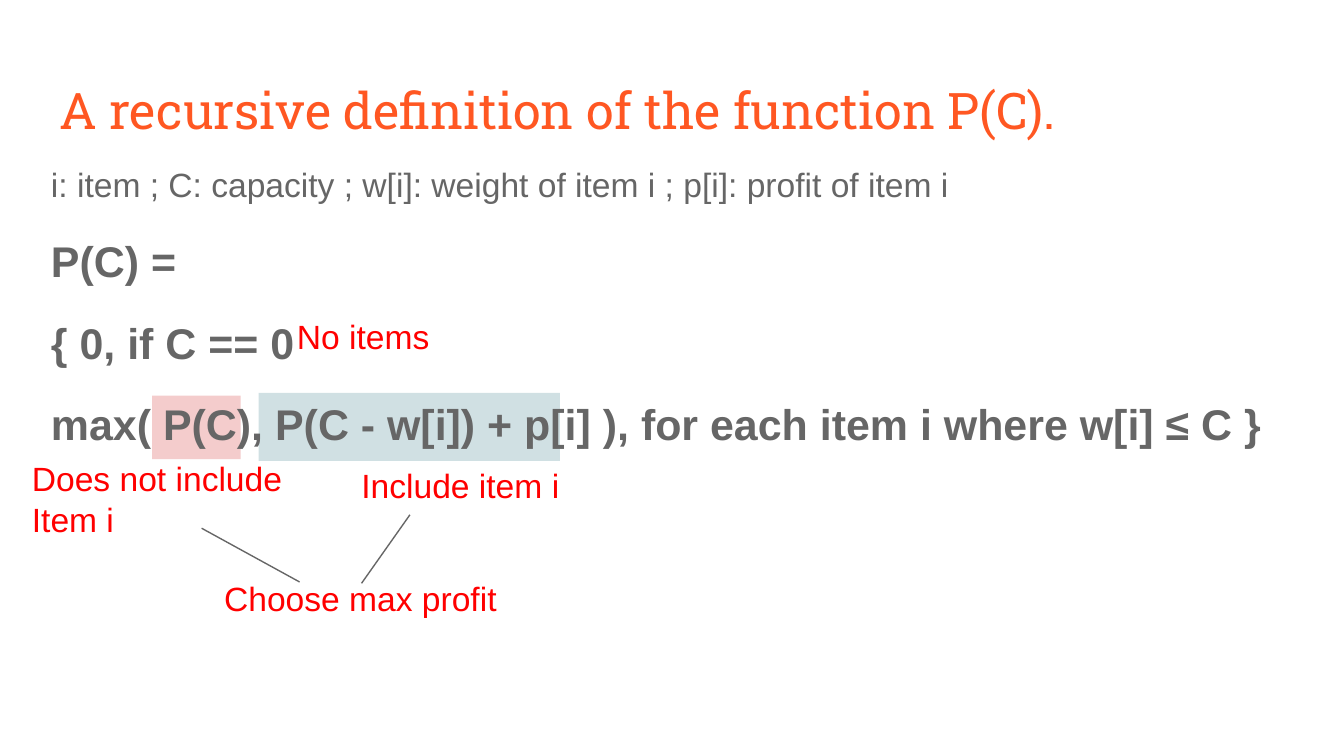
from pptx import Presentation
from pptx.dml.color import RGBColor
from pptx.enum.shapes import MSO_CONNECTOR as Connector, MSO_SHAPE as Shape
from pptx.enum.text import MSO_ANCHOR as Anchor, MSO_AUTO_SIZE as AutoSize, PP_ALIGN as Align
from pptx.oxml.xmlchemy import OxmlElement
from pptx.util import Pt

COLORS = {"title": "FF5722", "body": "666666", "note": "FF0000",
          "include": "D0E0E3", "exclude": "F4CCCC"}
BODY = {"size": Pt(18), "name": "Arial", "bold": False}
FORMULA = {**BODY, "size": Pt(23), "bold": True}
TITLE = {**BODY, "size": Pt(27), "name": "Roboto Slab"}


class SlideBuilder:
    def __init__(self, presentation):
        self.slide = presentation.slides.add_slide(presentation.slide_layouts[5])

    def color(self, name):
        return RGBColor.from_string(COLORS[name])

    def place(self, shape, box):
        for name, value in zip(("left", "top", "width", "height"), box):
            setattr(shape, name, Pt(value))

    def fill_text(self, shape, lines, color, spacing=None):
        """Fill a shape with (text, font format) lines."""
        frame = shape.text_frame
        settings = {"word_wrap": True, "auto_size": AutoSize.NONE,
                    "vertical_anchor": Anchor.TOP}
        settings.update({f"margin_{side}": Pt(7.2)
                         for side in ("left", "top", "right", "bottom")})
        for name, value in settings.items():
            setattr(frame, name, value)
        for index, (text, font) in enumerate(lines):
            paragraph = frame.add_paragraph() if index else frame.paragraphs[0]
            for name, value in {"alignment": Align.LEFT, **(spacing or {})}.items():
                setattr(paragraph, name, value)
            if index == 0:
                paragraph.space_before = Pt(0)
            run = paragraph.add_run()
            run.text = text
            for name, value in font.items():
                setattr(run.font, name, value)
            run.font.color.rgb = self.color(color)

    def title(self, text, box):
        title = self.slide.shapes.title
        self.place(title, box)
        self.fill_text(title, [(text, TITLE)], "title")

    def text(self, lines, box, color, spacing=None):
        shape = self.slide.shapes.add_textbox(*map(Pt, box))
        self.fill_text(shape, lines, color, spacing)

    def highlight(self, box, color):
        shape = self.slide.shapes.add_shape(Shape.RECTANGLE, *map(Pt, box))
        shape.shadow.inherit = False
        shape.fill.solid()
        shape.fill.fore_color.rgb = self.color(color)
        shape.line.fill.background()

    def line(self, start, end):
        connector = self.slide.shapes.add_connector(
            Connector.STRAIGHT, *map(Pt, (*start, *end)))
        connector.line.color.rgb = self.color("body")
        connector.line.width = Pt(0.75)
        connector._element.spPr.append(OxmlElement("a:effectLst"))


def main():
    presentation = Presentation()
    presentation.slide_width, presentation.slide_height = Pt(720), Pt(405)
    builder = SlideBuilder(presentation)

    # Highlights behind the two choices
    builder.highlight((138.5, 210.5, 161.5, 36.5), "include")
    builder.highlight((81.5, 212, 47.5, 34), "exclude")

    # Title and definition
    builder.title("A recursive definition of the function P(C).", (24.5, 35.3, 671, 45.4))
    builder.text([
        ("i: item ; C: capacity ; w[i]: weight of item i ; p[i]: profit of item i", BODY),
        ("P(C) =", FORMULA),
        ("{ 0, if C == 0", FORMULA),
        ("max( P(C), P(C - w[i]) + p[i] ), for each item i where w[i] ≤ C }", FORMULA),
    ], (20.2, 77.6, 671, 233.5), "body", {"line_spacing": 1.15, "space_before": Pt(12)})

    # Notes
    for lines, left, top, width in (
        (["No items"], 152, 162, 109.5),
        (["Choose max profit"], 113, 302.5, 195),
        (["Include item i"], 186.5, 242, 195),
        (["Does not include", "Item i"], 10, 238.3, 195),
    ):
        builder.text([(line, BODY) for line in lines], (left, top, width, 45.4), "note")

    # Lines joining the choices to the maximum
    builder.line((108, 283), (160.5, 311.8))
    builder.line((219.6, 275.8), (193.7, 312.5))

    presentation.save("out.pptx")


if __name__ == "__main__":
    main()
